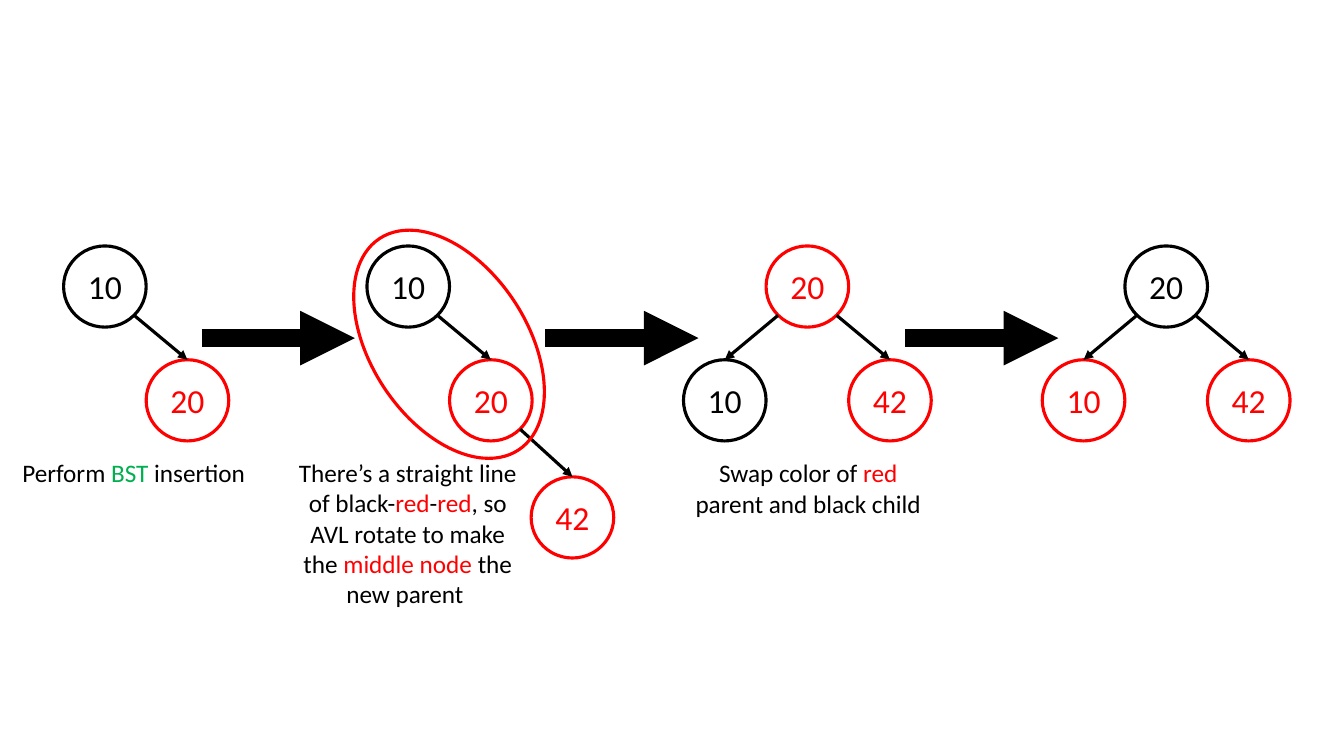
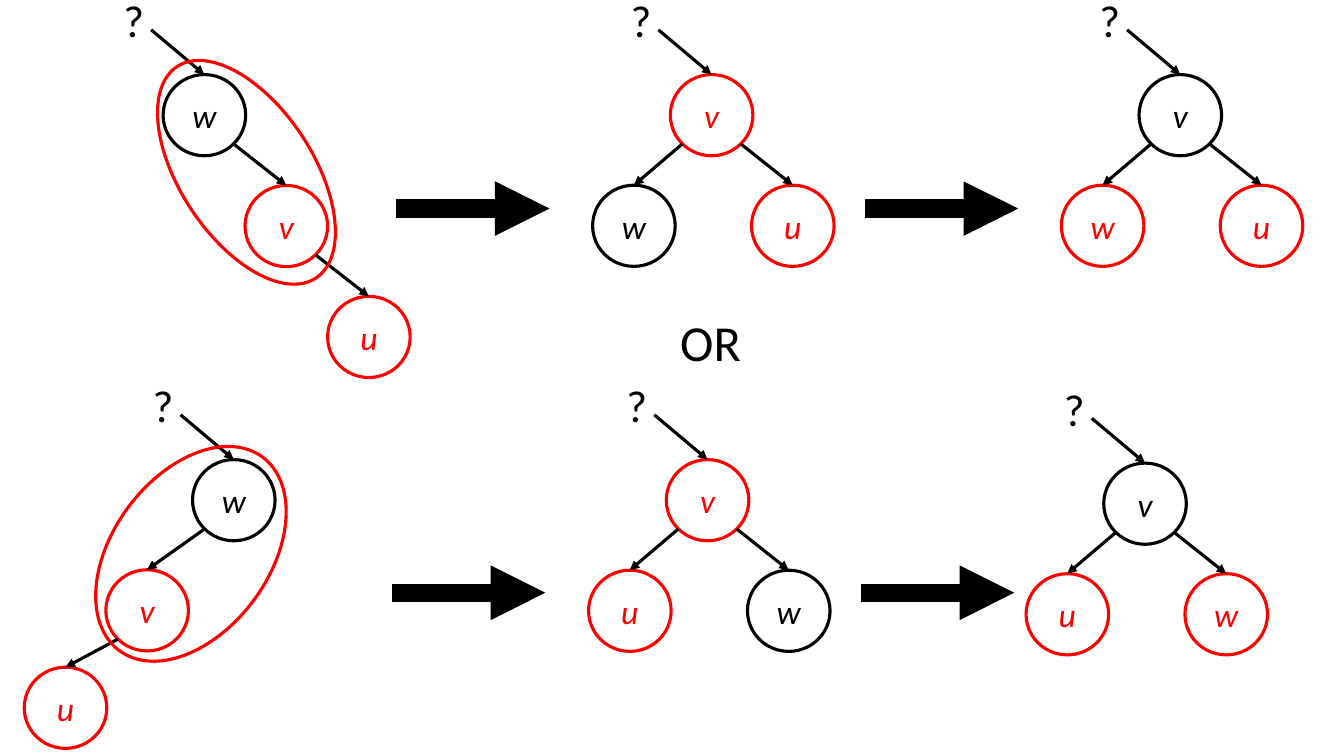
from lxml.etree import SubElement
from pptx import Presentation
from pptx.dml.color import RGBColor
from pptx.enum.shapes import MSO_CONNECTOR, MSO_SHAPE
from pptx.enum.text import MSO_ANCHOR, PP_ALIGN
from pptx.oxml.ns import qn
from pptx.util import Pt

BLACK = RGBColor(0x00, 0x00, 0x00)
RED = RGBColor(0xFF, 0x00, 0x00)
GREEN = RGBColor(0x00, 0xB0, 0x50)

FONT = "Calibri"
NODE_W, NODE_H = 59, 58
DIAGONAL = 0.71  # share of the radius where an edge leaves a node
THIN, THICK = 2.25, 13
STEP_LENGTH = 109.5


def add_run(p, text, color, **formats):
    r = p.add_run()
    r.text = text
    r.font.color.rgb = color
    for name, value in {"name": FONT, **formats}.items():
        setattr(r.font, name, value)


def add_oval(s, x, y, w, h, color, rotation=0):
    oval = s.shapes.add_shape(MSO_SHAPE.OVAL, Pt(x), Pt(y), Pt(w), Pt(h))
    oval.shadow.inherit = False
    oval.fill.background()
    oval.line.color.rgb = color
    oval.line.width = Pt(THIN)
    oval.rotation = rotation
    return oval


def add_arrow(s, x1, y1, x2, y2, width=THIN):
    arrow = s.shapes.add_connector(
        MSO_CONNECTOR.STRAIGHT, Pt(x1), Pt(y1), Pt(x2), Pt(y2))
    arrow.line.color.rgb = BLACK
    arrow.line.width = Pt(width)
    SubElement(arrow.line._get_or_add_ln(), qn("a:tailEnd"), type="triangle")
    SubElement(arrow._element.spPr, qn("a:effectLst"))
    return arrow


def add_step(s, x, y):
    """Thick arrow from one state of the tree to the next."""
    add_arrow(s, x, y, x + STEP_LENGTH, y, THICK)


def add_text(s, x, y, w, h, pieces, size, align=PP_ALIGN.LEFT):
    tf = s.shapes.add_textbox(Pt(x), Pt(y), Pt(w), Pt(h)).text_frame
    tf.word_wrap = True
    p = tf.paragraphs[0]
    p.alignment = align
    for text, color in pieces:
        add_run(p, text, color, size=Pt(size))


def add_caption(s, x, h, *pieces):
    add_text(s, x, 323.3, 176.5, h, pieces, 18, PP_ALIGN.CENTER)


def add_node(s, x, y, label, color, parent=None):
    """Draw a node, with an edge from its parent; letters are italic."""
    node = add_oval(s, x, y, NODE_W, NODE_H, color)
    tf = node.text_frame
    tf.word_wrap = False
    tf.vertical_anchor = MSO_ANCHOR.MIDDLE
    for side in ("left", "top", "right", "bottom"):
        setattr(tf, f"margin_{side}", 0)
    p = tf.paragraphs[0]
    p.alignment = PP_ALIGN.CENTER
    add_run(p, label, color, size=Pt(24), italic=label.isalpha())
    if parent:
        px, py = parent.left.pt, parent.top.pt
        side = 1 if x > px else -1
        edge = add_arrow(s, px + NODE_W / 2 * (1 + side * DIAGONAL),
                         py + NODE_H / 2 * (1 + DIAGONAL), x + NODE_W / 2, y)
        edge.end_connect(node, 0)
    return node


def add_chain(s, *nodes):
    """Draw nodes (x, y, label, color), each the child of the one before."""
    first = parent = add_node(s, *nodes[0])
    for node in nodes[1:]:
        parent = add_node(s, *node, parent)
    return first


def add_tree(s, x, y, root, left, right, reach, drop):
    """Draw a root with two children; each node is (label, color)."""
    top = add_node(s, x, y, *root)
    for child, dx in zip((left, right), reach):
        add_node(s, x + dx, y + drop, *child, top)
    return top


def add_unknown_parent(s, node):
    x, y = node.left.pt, node.top.pt
    add_text(s, x - 35.5, y - 62, 34, 46, [("?", BLACK)], 32)
    add_arrow(s, x - 8.5, y - 32, x + NODE_W / 2, y).end_connect(node, 0)


def build_insertion(s):
    top, middle, bottom = 175.7, 257, 340.6
    add_chain(s, (45.4, top, "10", BLACK), (104.4, middle, "20", RED))
    add_chain(s, (262.1, top, "10", BLACK), (321.1, middle, "20", RED),
              (379.4, bottom, "42", RED))
    for x, root, left in ((547.2, RED, BLACK), (803.5, BLACK, RED)):
        add_tree(s, x, top, ("20", root), ("10", left), ("42", RED),
                 (-59, 59), middle - top)
    for x in (144, 389.5, 646.5):
        add_step(s, x, 241.5)
    add_oval(s, 230.4, 190.1, 180.7, 111.6, RED, 56.7)

    add_caption(s, 7.2, 29, ("Perform ", BLACK), ("BST", GREEN),
                (" insertion", BLACK))
    add_caption(s, 203, 116.5, ("There’s a straight line of black-", BLACK),
                ("red", RED), ("-", BLACK), ("red", RED),
                (", so AVL rotate to make the ", BLACK),
                ("middle node ", RED), ("the new parent ", BLACK))
    add_caption(s, 489, 51, ("Swap color of ", BLACK), ("red", RED),
                (" parent and black child", BLACK))


def build_cases(s):
    chains = (
        ((116.5, 53.3, "w", BLACK), (175, 132.5, "v", RED),
         (234, 211.7, "u", RED)),
        ((137.5, 328.3, "w", BLACK), (75.6, 407, "v", RED),
         (17.3, 476.6, "u", RED)),
    )
    trees = (
        (478.8, 53.3, ("v", RED), ("w", BLACK), ("u", RED)),
        (813.6, 53.3, ("v", BLACK), ("w", RED), ("u", RED)),
        (475.9, 328.3, ("v", RED), ("u", RED), ("w", BLACK)),
        (788.4, 330.8, ("v", BLACK), ("u", RED), ("w", RED)),
    )
    for chain in chains:
        add_unknown_parent(s, add_chain(s, *chain))
    for tree in trees:
        add_unknown_parent(s, add_tree(s, *tree, (-55.5, 58), 79))
    for x, y in ((283, 149), (617.8, 149), (280, 423.4), (615, 423.4)):
        add_step(s, x, y)
    add_oval(s, 85.7, 75.6, 180.7, 95, RED, 56.7)
    add_oval(s, 50.4, 339.8, 172, 111.6, RED, 306.5)
    add_text(s, 478.8, 218.9, 66, 51, [("OR", BLACK)], 36)


def main():
    prs = Presentation()
    prs.slide_width, prs.slide_height = Pt(960), Pt(540)
    for build in (build_insertion, build_cases):
        build(prs.slides.add_slide(prs.slide_layouts[6]))
    prs.save("out.pptx")


if __name__ == "__main__":
    main()
